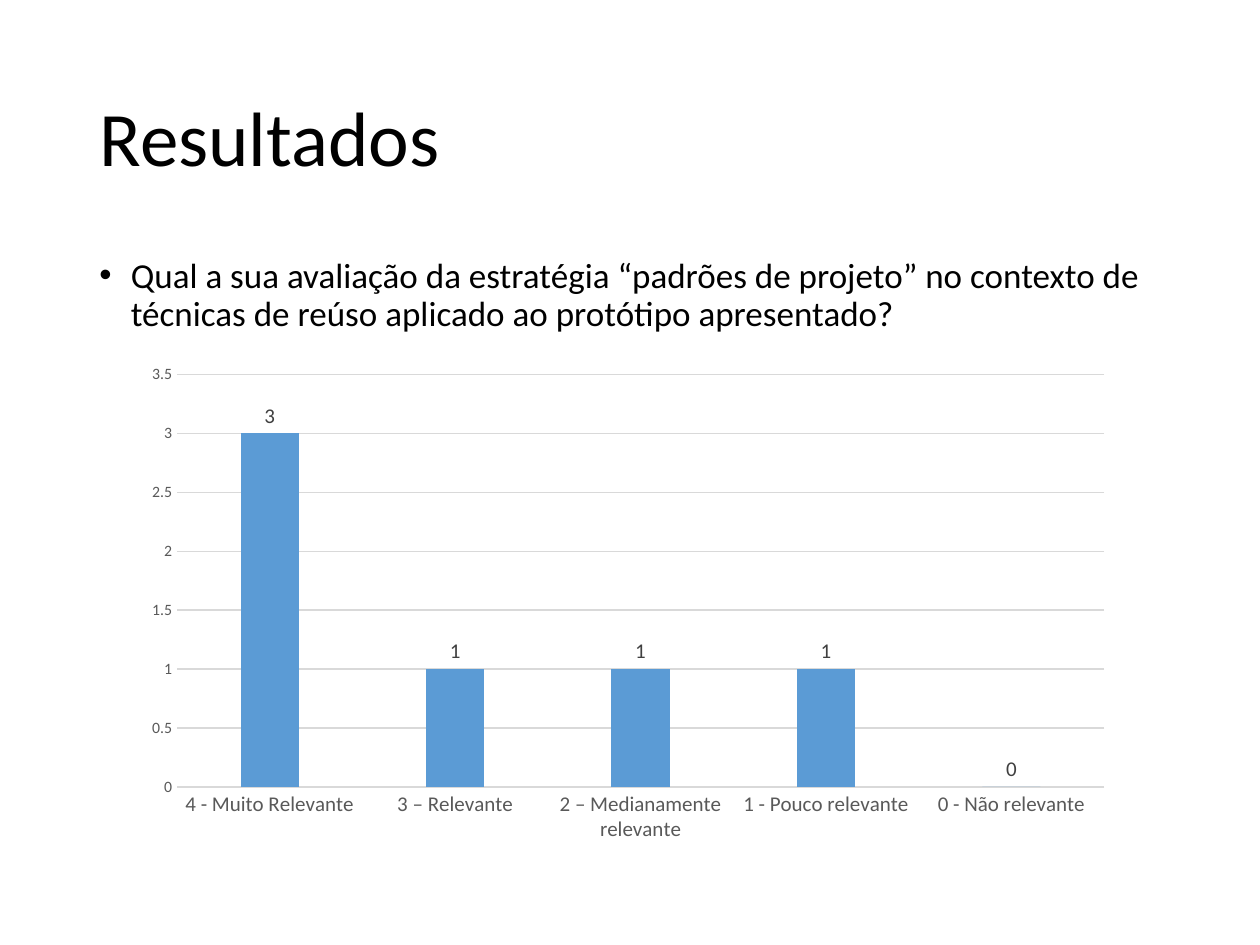
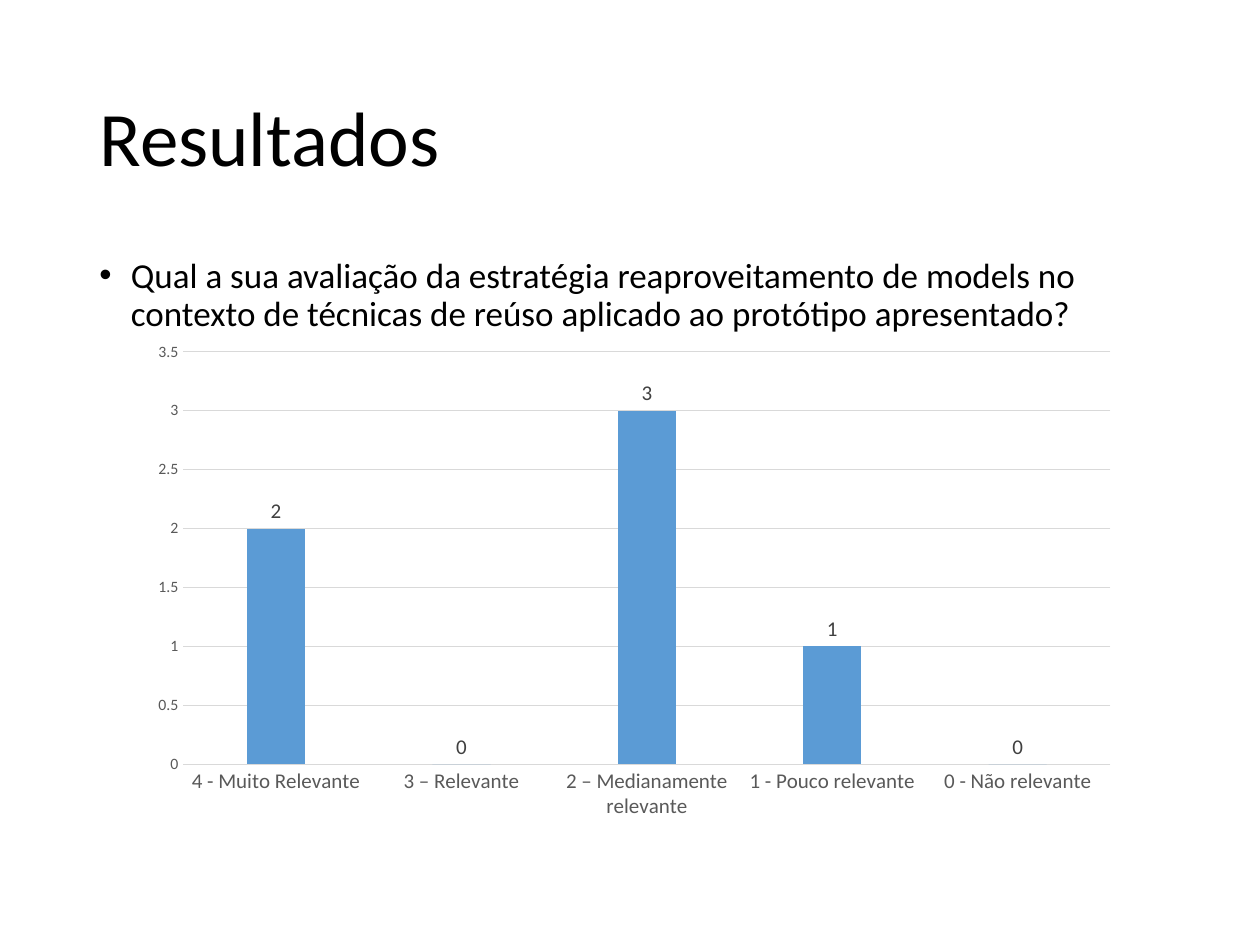
import pptx
import pptx.chart.data
import pptx.dml.color
import pptx.enum.chart
import pptx.enum.text
import pptx.oxml.ns
import pptx.util
from lxml import etree

COLORS = {"paper": "FFFFFF", "ink": "000000", "bar": "5B9BD5",
          "grid": "D9D9D9", "axis": "595959", "label": "404040"}
FONT = "Calibri"
COLUMNS, ROWS = 100, 75
TITLE_AREA = (6.9, 4, 86.2, 14.5)
QUESTION_AREA = (6.9, 20, 86.2, 47.6)
CHART_SIZE = (78.7, 39.4)
RATINGS = ["4 - Muito Relevante", "3 – Relevante", "2 – Medianamente relevante",
           "1 - Pouco relevante", "0 - Não relevante"]
RESULTS = [
    ("Qual a sua avaliação da estratégia “padrões de projeto” no contexto de "
     "técnicas de reúso aplicado ao protótipo apresentado?",
     [3, 1, 1, 1, 0], (10.5, 28.2)),
    ("Qual a sua avaliação da estratégia reaproveitamento de models no contexto "
     "de técnicas de reúso aplicado ao protótipo apresentado?",
     [2, 0, 3, 1, 0], (11, 26.4)),
]


def rgb(name):
    return pptx.dml.color.RGBColor.from_string(COLORS[name])


def style_font(font, size, color):
    font.name = FONT
    font.size = pptx.util.Pt(size)
    font.color.rgb = rgb(color)


def style_line(line, color, width=0.75):
    line.color.rgb = rgb(color)
    line.width = pptx.util.Pt(width)


def write_text(frame, text, size=20, color="ink", bullet=None, indent=0.25,
               anchor=pptx.enum.text.MSO_ANCHOR.TOP):
    frame.word_wrap = True
    frame.auto_size = pptx.enum.text.MSO_AUTO_SIZE.NONE
    frame.vertical_anchor = anchor
    paragraph = frame.paragraphs[0]
    paragraph.text = text
    if bullet:
        properties = paragraph._p.get_or_add_pPr()
        hang = pptx.util.Inches(indent)
        properties.set("marL", str(hang))
        properties.set("indent", str(-hang))
        for tag, key, value in (("a:buFont", "typeface", "Arial"),
                                ("a:buChar", "char", bullet)):
            etree.SubElement(properties, pptx.oxml.ns.qn(tag)).set(key, value)
    paragraph.alignment = pptx.enum.text.PP_ALIGN.LEFT
    paragraph.line_spacing = 0.9
    style_font(paragraph.runs[0].font, size, color)


class Deck:
    def __init__(self, presentation):
        self.presentation = presentation
        self.slide = None

    def area(self, left, top, width, height):
        column = self.presentation.slide_width / COLUMNS
        row = self.presentation.slide_height / ROWS
        return (round(left * column), round(top * row),
                round(width * column), round(height * row))

    def add_slide(self, heading):
        layout = self.presentation.slide_layouts[5]
        self.slide = self.presentation.slides.add_slide(layout)
        background = self.slide.background.fill
        background.solid()
        background.fore_color.rgb = rgb("paper")
        title = self.slide.shapes.title
        title.left, title.top, title.width, title.height = self.area(*TITLE_AREA)
        write_text(title.text_frame, heading, size=44,
                   anchor=pptx.enum.text.MSO_ANCHOR.MIDDLE)

    def add_question(self, wording):
        question = self.slide.shapes.add_textbox(*self.area(*QUESTION_AREA))
        write_text(question.text_frame, wording, bullet="•")

    def add_ratings(self, votes, corner):
        answers = pptx.chart.data.CategoryChartData()
        answers.categories = RATINGS
        answers.add_series("Series 1", votes)
        chart = self.slide.shapes.add_chart(
            pptx.enum.chart.XL_CHART_TYPE.COLUMN_CLUSTERED,
            *self.area(*corner, *CHART_SIZE), answers).chart
        chart.has_title = False
        chart.has_legend = False
        style_font(chart.font, 10, "ink")
        self.style_axes(chart)
        self.style_bars(chart.plots[0])

    def style_axes(self, chart):
        for axis, size in ((chart.category_axis, 12), (chart.value_axis, 9)):
            axis.major_tick_mark = pptx.enum.chart.XL_TICK_MARK.NONE
            axis.minor_tick_mark = pptx.enum.chart.XL_TICK_MARK.NONE
            style_font(axis.tick_labels.font, size, "axis")
        style_line(chart.category_axis.format.line, "grid")
        chart.value_axis.format.line.fill.background()
        chart.value_axis.has_major_gridlines = True
        style_line(chart.value_axis.major_gridlines.format.line, "grid")
        chart.value_axis.minimum_scale = 0
        chart.value_axis.maximum_scale = 3.5
        chart.value_axis.major_unit = 0.5

    def style_bars(self, plot):
        plot.vary_by_categories = False
        plot.gap_width = 219
        plot.overlap = -27
        bars = plot.series[0]
        bars.format.fill.solid()
        bars.format.fill.fore_color.rgb = rgb("bar")
        labels = bars.data_labels
        labels.show_value = True
        labels.position = pptx.enum.chart.XL_LABEL_POSITION.OUTSIDE_END
        style_font(labels.font, 12, "label")


def main():
    presentation = pptx.Presentation()
    presentation.slide_width = pptx.util.Inches(10)
    presentation.slide_height = pptx.util.Inches(7.5)
    deck = Deck(presentation)
    for question, votes, corner in RESULTS:
        deck.add_slide("Resultados")
        deck.add_question(question)
        deck.add_ratings(votes, corner)
    presentation.save("out.pptx")


if __name__ == "__main__":
    main()
